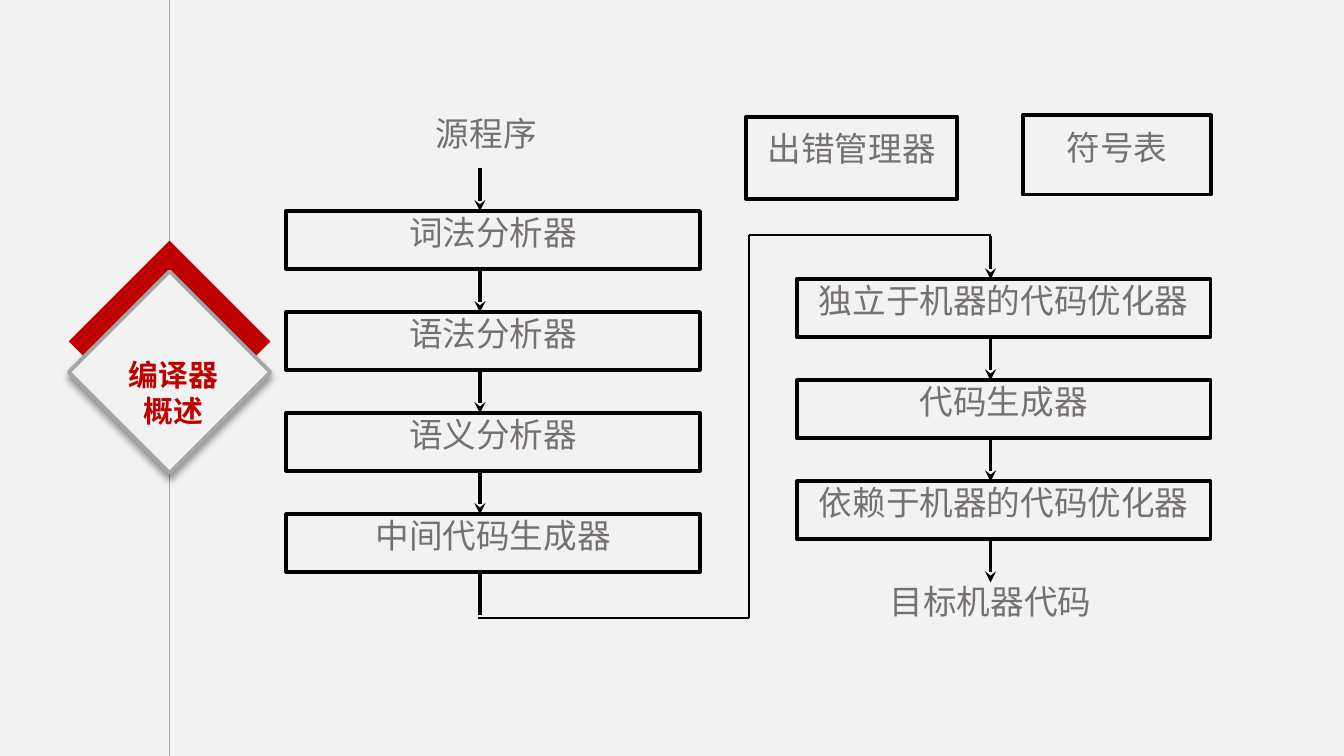
from dataclasses import dataclass

import lxml.etree
import pptx
import pptx.dml.color
import pptx.enum.shapes
import pptx.enum.text
import pptx.oxml
import pptx.oxml.ns
import pptx.util
from pptx.util import Cm

FONT = "Noto Sans CJK SC"
PAPER, BLACK, GREY, SILVER, RED = "F2F2F2", "000000", "767171", "A6A6A6", "C00000"
BOX_WIDTH, BOX_HEIGHT, PITCH = 7.82, 1.09, 1.91
GAP = PITCH - BOX_HEIGHT
SHAPES = pptx.enum.shapes.MSO_SHAPE


@dataclass
class Label:
    text: str
    left: float
    top: float
    width: float
    height: float
    inset: float = 0.1
    outlined: bool = True
    font: str = FONT


@dataclass
class Column:
    left: float
    top: float
    arrow_x: float
    arrow_heads: int
    stages: list[tuple[str, str]]


COLUMNS = [
    Column(5.41, 3.99, 9.07, 4, [
        ("词法分析器", FONT), ("语法分析器", FONT),
        ("语义分析器", FONT), ("中间代码生成器", FONT)]),
    Column(15.06, 5.28, 18.72, 4, [
        ("独立于机器的代码优化器", FONT), ("代码生成器", FONT),
        ("依赖于机器的代码优化器", "Courier New")]),
]
LABELS = [
    Label("源程序", 5.28, 2.13, BOX_WIDTH, BOX_HEIGHT, outlined=False),
    Label("目标机器代码", 16.51, 10.97, 4.42, 0.97, outlined=False),
    Label("符号表", 19.33, 2.18, 3.56, 1.5, inset=0.3),
    Label("出错管理器", 14.1, 2.21, 3.99, 1.55, inset=0.3),
]
BYPASS = [(9.04, 11.68), (14.15, 11.68), (14.15, 4.45), (18.72, 4.45)]


def color(value: str) -> pptx.dml.color.RGBColor:
    return pptx.dml.color.RGBColor.from_string(value)


def write_text(shape, text: str, size: float, ink: str, font: str = FONT,
               bold: bool = False, spacing=0.9) -> None:
    frame = shape.text_frame
    frame.text = text
    frame.vertical_anchor = pptx.enum.text.MSO_ANCHOR.TOP
    for para in frame.paragraphs:
        para.alignment = pptx.enum.text.PP_ALIGN.CENTER
        para.line_spacing = spacing
        for span in para.runs:
            span.font.size = pptx.util.Pt(size)
            span.font.bold = bold
            span.font.color.rgb = color(ink)
            span.font.name = font
            east_asian = lxml.etree.SubElement(
                span.font._element, pptx.oxml.ns.qn("a:ea"))
            east_asian.set("typeface", FONT)


def add_label(page, label: Label) -> None:
    area = [Cm(v) for v in (label.left, label.top, label.width, label.height)]
    if label.outlined:
        box = page.shapes.add_shape(SHAPES.RECTANGLE, *area)
        box.shadow.inherit = False
        box.fill.background()
        box.line.color.rgb = color(BLACK)
        box.line.width = pptx.util.Pt(2)
    else:
        box = page.shapes.add_textbox(*area)
    frame = box.text_frame
    frame.word_wrap = True
    frame.margin_left = frame.margin_right = Cm(0.25)
    frame.margin_top, frame.margin_bottom = Cm(label.inset), Cm(0.13)
    write_text(box, label.text, 18, GREY, label.font)


def add_line(page, start: tuple[float, float], end: tuple[float, float],
             width: float, ink: str = BLACK, head: bool = False) -> None:
    line = page.shapes.add_connector(
        pptx.enum.shapes.MSO_CONNECTOR.STRAIGHT,
        *(Cm(v) for v in (*start, *end)))
    line.line.color.rgb = color(ink)
    line.line.width = pptx.util.Pt(width)
    if head:
        tail = lxml.etree.SubElement(
            line.line._get_or_add_ln(), pptx.oxml.ns.qn("a:tailEnd"))
        tail.set("type", "stealth")
    lxml.etree.SubElement(
        line._element.spPr, pptx.oxml.ns.qn("a:effectLst"))


def add_column(page, column: Column) -> None:
    for row, (text, font) in enumerate(column.stages):
        add_label(page, Label(text, column.left, column.top + row * PITCH,
                              BOX_WIDTH, BOX_HEIGHT, font=font))
    for row in range(len(column.stages) + 1):
        end = column.top + row * PITCH
        add_line(page, (column.arrow_x, end - GAP), (column.arrow_x, end), 2,
                 head=row < column.arrow_heads)


def add_diamond(page, top: float, fill: str):
    diamond = page.shapes.add_shape(
        SHAPES.FLOWCHART_DECISION, Cm(1.3), Cm(top), Cm(3.81), Cm(3.81))
    diamond.shadow.inherit = False
    diamond.fill.solid()
    diamond.fill.fore_color.rgb = color(fill)
    diamond.line.fill.background()
    return diamond


def add_badge(page) -> None:
    add_diamond(page, 4.55, RED)
    front = add_diamond(page, 5.13, PAPER)
    front.line.color.rgb = color(SILVER)
    front.line.width = pptx.util.Pt(2)
    effects = front._element.spPr.find(pptx.oxml.ns.qn("a:effectLst"))
    effects.append(pptx.oxml.parse_xml(
        f'<a:outerShdw {pptx.oxml.ns.nsdecls("a")} blurRad="50800" '
        'dist="38100" dir="5400000" algn="t" rotWithShape="0">'
        '<a:srgbClr val="000000"><a:alpha val="40000"/></a:srgbClr>'
        '</a:outerShdw>'))


def place_title(page) -> None:
    title = page.shapes.title
    title.left, title.top, title.width, title.height = (
        Cm(v) for v in (2.24, 6.65, 2.08, 1.55))
    frame = title.text_frame
    frame.word_wrap = False
    frame.auto_size = pptx.enum.text.MSO_AUTO_SIZE.NONE
    frame.margin_left = frame.margin_right = Cm(0.18)
    frame.margin_top = frame.margin_bottom = Cm(0.1)
    write_text(title, "编译器\n概述", 16, RED, bold=True,
               spacing=pptx.util.Pt(19.2))
    page.shapes._spTree.append(title._element)


def main() -> None:
    deck = pptx.Presentation()
    deck.slide_width, deck.slide_height = Cm(25.4), Cm(14.29)
    page = deck.slides.add_slide(deck.slide_layouts.get_by_name("Title Only"))
    page.background.fill.solid()
    page.background.fill.fore_color.rgb = color(PAPER)
    for column in COLUMNS:
        add_column(page, column)
    for start, end in zip(BYPASS, BYPASS[1:]):
        add_line(page, start, end, 1)
    for label in LABELS:
        add_label(page, label)
    add_line(page, (3.2, 0), (3.2, 14.29), 0.75, SILVER)
    add_badge(page)
    place_title(page)
    deck.save("out.pptx")


if __name__ == "__main__":
    main()
